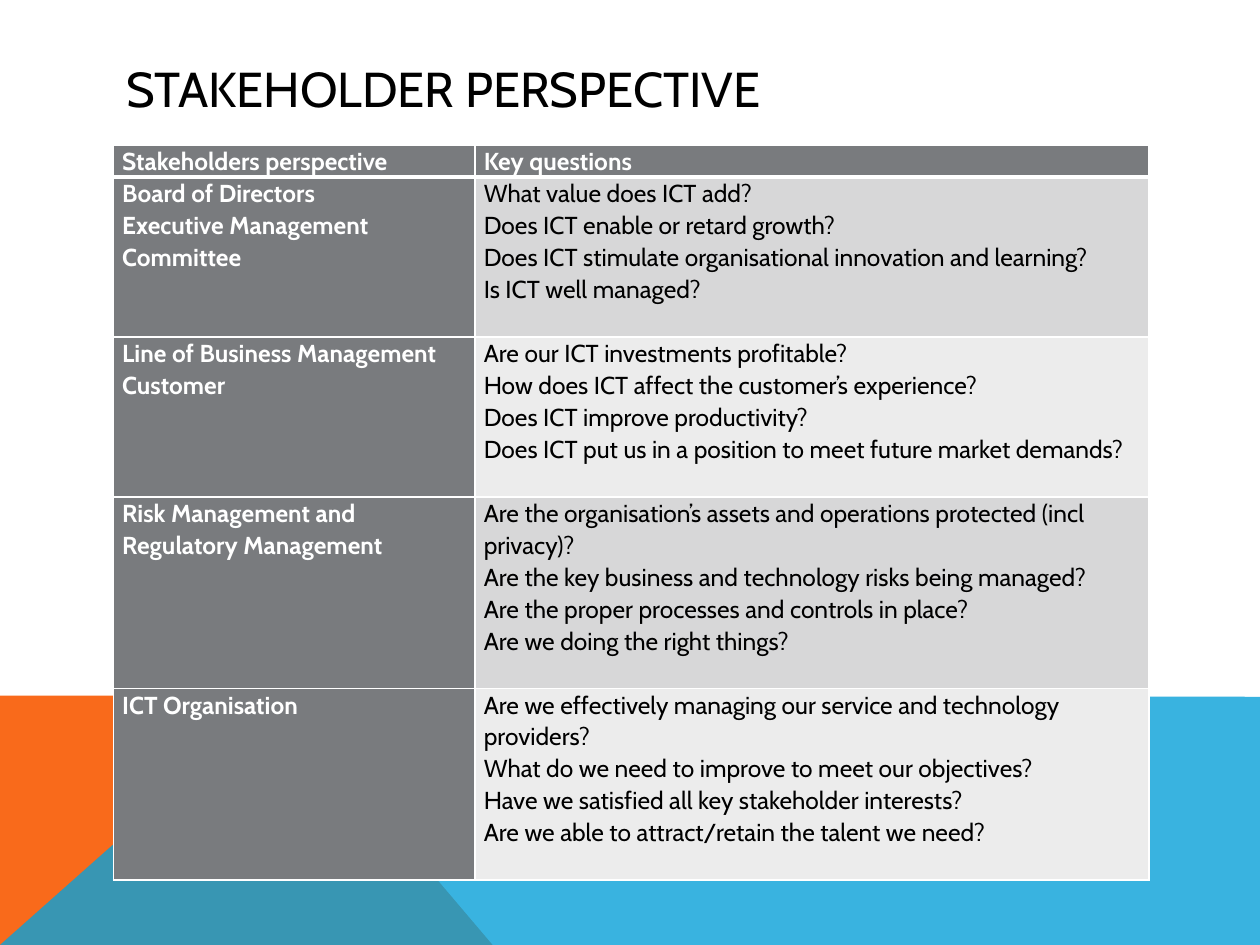
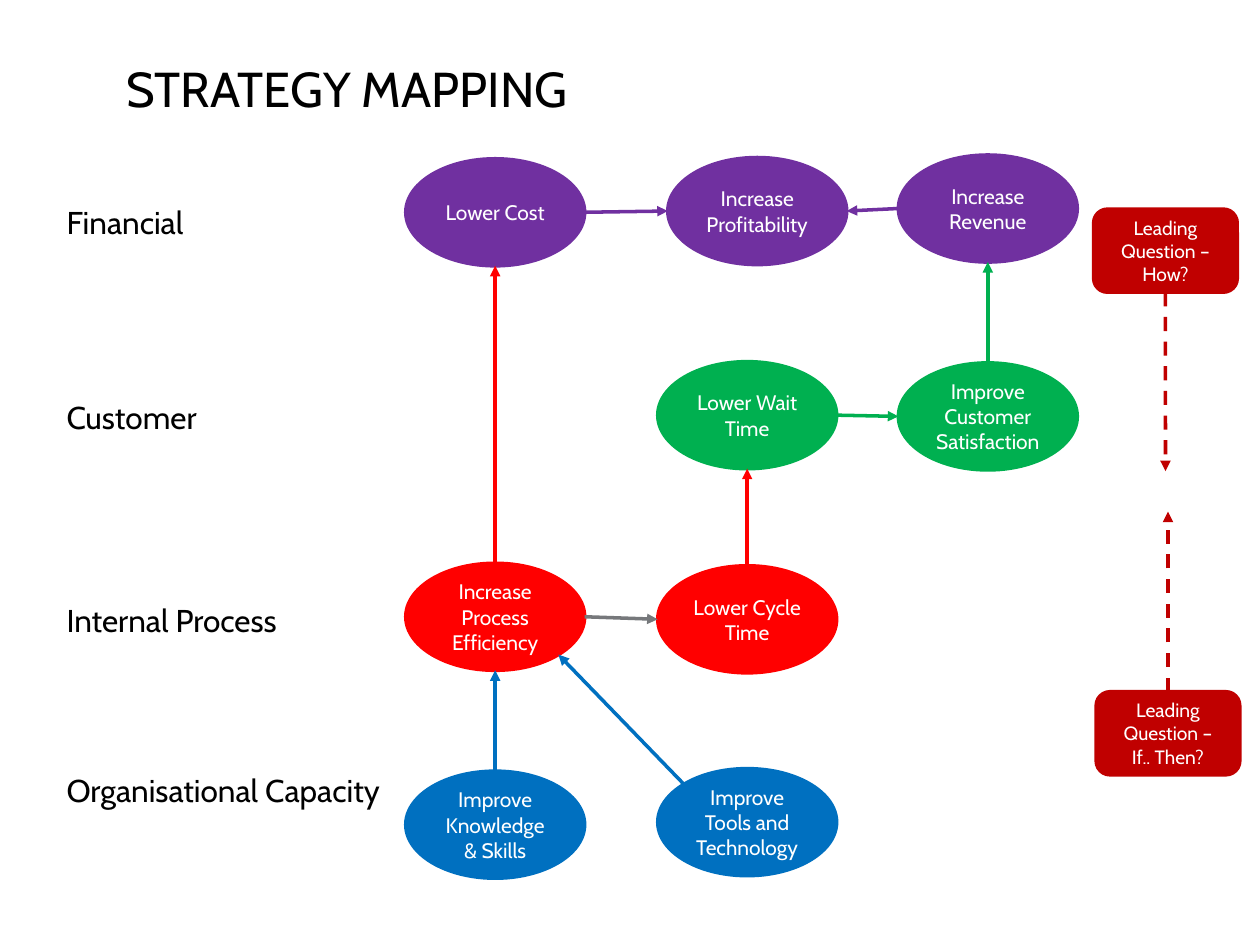
from math import sqrt

from lxml import etree
from pptx import Presentation
from pptx.dml.color import RGBColor
from pptx.enum.dml import MSO_LINE
from pptx.enum.shapes import MSO_CONNECTOR, MSO_SHAPE
from pptx.enum.text import MSO_ANCHOR, PP_ALIGN
from pptx.oxml.ns import qn
from pptx.util import Inches, Pt

OVAL, ROUND = MSO_SHAPE.OVAL, MSO_SHAPE.ROUNDED_RECTANGLE
LINE, DASH = MSO_CONNECTOR.STRAIGHT, MSO_LINE.DASH
LEFT, CENTER = PP_ALIGN.LEFT, PP_ALIGN.CENTER
TOP, MIDDLE = MSO_ANCHOR.TOP, MSO_ANCHOR.MIDDLE

FONT = "Cabin"
COLORS = {
    "white": "FFFFFF", "black": "000000",
    "orange": "F96A1B", "sky": "08A1D9",
    "head": "797B7E", "odd": "D7D7D8", "even": "ECECEC",
    "blue": "0070C0", "red": "FF0000", "green": "00B050",
    "purple": "7030A0", "gray": "76787B", "dark": "C00000",
}

# Points on an oval's edge, as shares of its half width and half height
DIAG = 1 / sqrt(2)
SIDES = {"top": (0, -1), "bottom": (0, 1), "left": (-1, 0), "right": (1, 0),
         "nw": (-DIAG, -DIAG), "se": (DIAG, DIAG)}
OVAL_W, OVAL_H = 1.42, 0.85


def color(name):
    return RGBColor.from_string(COLORS[name])


def write(frame, text, size=12, ink="white", bold=False, align=LEFT,
          anchor=MIDDLE, wrap=True, inset=None, spacing=None):
    """Fill a text frame; each line of the text is a paragraph."""
    frame.text = text
    frame.word_wrap = wrap
    frame.vertical_anchor = anchor
    if inset is not None:
        frame.margin_left = frame.margin_right = Inches(inset)
        frame.margin_top = frame.margin_bottom = Inches(inset)
    for para in frame.paragraphs:
        para.alignment = align
        if spacing:
            para.line_spacing = spacing
        for run in para.runs:
            font = run.font
            font.name, font.size, font.bold = FONT, Pt(size), bold
            font.color.rgb = color(ink)


def edge(cell, side, width):
    """Draw one white border of a table cell."""
    line = etree.SubElement(cell._tc.get_or_add_tcPr(), qn(f"a:ln{side}"),
                            w=str(Pt(width)))
    fill = etree.SubElement(line, qn("a:solidFill"))
    etree.SubElement(fill, qn("a:srgbClr"), val=COLORS["white"])


class Deck:
    def __init__(self):
        self.prs = Presentation()
        self.prs.slide_width, self.prs.slide_height = Inches(10), Inches(7.5)
        self.shapes = None

    def slide(self, title):
        slide = self.prs.slides.add_slide(self.prs.slide_layouts[5])
        slide.background.fill.solid()
        slide.background.fill.fore_color.rgb = color("white")
        self.shapes = slide.shapes
        head = self.shapes.title
        head.left, head.top = Inches(0.9), Inches(0.4)
        head.width, head.height = Inches(8.22), Inches(0.6)
        write(head.text_frame, title, size=28, ink="black")

    def paint(self, shape, fill, line=None):
        shape.shadow.inherit = False
        shape.fill.solid()
        shape.fill.fore_color.rgb = color(fill)
        if line:
            shape.line.color.rgb = color(line)
            shape.line.width = Pt(2)
        else:
            shape.line.fill.background()

    def band(self, points, fill, alpha=None):
        spots = [(Inches(x), Inches(y)) for x, y in points]
        pen = self.shapes.build_freeform(*spots[0])
        pen.add_line_segments(spots[1:], close=True)
        shape = pen.convert_to_shape()
        self.paint(shape, fill)
        if alpha:
            tone = next(shape.element.spPr.iter(qn("a:srgbClr")))
            etree.SubElement(tone, qn("a:alpha"), val=str(alpha * 1000))

    def shape(self, kind, text, fill, x, y, w, h, **style):
        shape = self.shapes.add_shape(kind, Inches(x), Inches(y),
                                      Inches(w), Inches(h))
        self.paint(shape, fill, fill)
        write(shape.text_frame, text, align=CENTER, **style)
        return shape

    def label(self, text, x, y, w, h):
        box = self.shapes.add_textbox(Inches(x), Inches(y),
                                      Inches(w), Inches(h))
        write(box.text_frame, text, size=18, ink="black", anchor=TOP,
              wrap=False)

    def arrow(self, start, end, ink, source=None, side=2, dash=None):
        link = self.shapes.add_connector(
            LINE, *(Inches(v) for v in (*start, *end)))
        if source is not None:
            link.begin_connect(source, side)
        link.line.color.rgb = color(ink)
        link.line.width = Pt(2)
        if dash:
            link.line.dash_style = dash
        etree.SubElement(link.line._get_or_add_ln(), qn("a:tailEnd"),
                         type="triangle")
        etree.SubElement(link.element.spPr, qn("a:effectLst"))

    def table(self, rows, x, y, widths, heights):
        table = self.shapes.add_table(
            len(rows), len(widths), Inches(x), Inches(y),
            Inches(sum(widths)), Inches(sum(heights))).table
        for col, width in zip(table.columns, widths):
            col.width = Inches(width)
        for r, (row, height) in enumerate(zip(rows, heights)):
            table.rows[r].height = Inches(height)
            for c, text in enumerate(row):
                self.cell(table.cell(r, c), text, r, c)

    def cell(self, cell, text, r, c):
        head = r == 0 or c == 0
        write(cell.text_frame, text, size=14, bold=head, spacing=1.07,
              ink="white" if head else "black")
        cell.vertical_anchor = TOP
        cell.margin_left = cell.margin_right = Inches(0.07)
        cell.margin_top = cell.margin_bottom = 0
        for side in "LRTB":
            thick = (r, side) in ((0, "B"), (1, "T"))
            edge(cell, side, 3 if thick else 1)
        cell.fill.solid()
        cell.fill.fore_color.rgb = color(
            "head" if head else "odd" if r % 2 else "even")


ROWS = [
    ("Stakeholders perspective", "Key questions"),
    ("Board of Directors\nExecutive Management Committee",
     "What value does ICT add?\n"
     "Does ICT enable or retard growth?\n"
     "Does ICT stimulate organisational innovation and learning?\n"
     "Is ICT well managed?"),
    ("Line of Business Management\nCustomer",
     "Are our ICT investments profitable?\n"
     "How does ICT affect the customer’s experience?\n"
     "Does ICT improve productivity?\n"
     "Does ICT put us in a position to meet future market demands?"),
    ("Risk Management and Regulatory Management",
     "Are the organisation’s assets and operations protected "
     "(incl privacy)?\n"
     "Are the key business and technology risks being managed?\n"
     "Are the proper processes and controls in place?\n"
     "Are we doing the right things?"),
    ("ICT Organisation",
     "Are we effectively managing our service and technology providers?\n"
     "What do we need to improve to meet our objectives?\n"
     "Have we satisfied all key stakeholder interests?\n"
     "Are we able to attract/retain the talent we need?"),
]

GOALS = {
    "skills": ("Improve Knowledge & Skills", "blue", 3.22, 6.12),
    "tools": ("Improve Tools and Technology", "blue", 5.22, 6.1),
    "process": ("Increase Process Efficiency", "red", 3.22, 4.47),
    "cycle": ("Lower Cycle Time", "red", 5.22, 4.49),
    "wait": ("Lower Wait Time", "green", 5.22, 2.87),
    "client": ("Improve Customer Satisfaction", "green", 7.13, 2.88),
    "income": ("Increase Revenue", "purple", 7.13, 1.23),
    "profit": ("Increase Profitability", "purple", 5.3, 1.25),
    "cost": ("Lower Cost", "purple", 3.22, 1.26),
}

LINKS = [
    ("skills", "top", "process", "bottom", "blue"),
    ("tools", "nw", "process", "se", "blue"),
    ("cycle", "top", "wait", "bottom", "red"),
    ("process", "top", "cost", "bottom", "red"),
    ("cost", "right", "profit", "left", "purple"),
    ("income", "left", "profit", "right", "purple"),
    ("wait", "right", "client", "left", "green"),
    ("client", "top", "income", "bottom", "green"),
    ("process", "right", "cycle", "left", "gray"),
]

LAYERS = [("Financial", 1.56, 1.23), ("Customer", 3.11, 1.3),
          ("Internal Process", 4.72, 2.03),
          ("Organisational Capacity", 6.07, 2.87)]

# Text, left, top, side the arrow leaves from, height the arrow ends at
LEADS = [("Leading Question – How?", 8.68, 1.66, 2, 3.74),
         ("Leading Question – If.. Then?", 8.7, 5.49, 0, 4.06)]


def rim(name, side):
    """Place on the edge of a goal's oval."""
    x, y = GOALS[name][2:]
    dx, dy = SIDES[side]
    return x + OVAL_W / 2 * (1 + dx), y + OVAL_H / 2 * (1 + dy)


def views(deck):
    deck.slide("STAKEHOLDER PERSPECTIVE")
    # Corner bands
    deck.band([(0, 7.5), (0, 5.52), (2.23, 5.52), (3.91, 7.5)], "orange")
    deck.band([(0, 7.5), (2.23, 5.52), (10, 5.53), (10, 7.5)], "sky", alpha=80)
    # Questions by stakeholder
    deck.table(ROWS, 0.9, 1.15, [2.87, 5.35], [0.25, 1.27, 1.27, 1.52, 1.52])


def plan(deck):
    deck.slide("STRATEGY MAPPING")
    # Goals and the links between them
    for text, fill, x, y in GOALS.values():
        deck.shape(OVAL, text, fill, x, y, OVAL_W, OVAL_H, inset=0.04)
    for start, out, end, into, ink in LINKS:
        deck.arrow(rim(start, out), rim(end, into), ink)
    # Names of the layers
    for text, y, w in LAYERS:
        deck.label(text, 0.43, y, w, 0.43)
    # Leading questions
    for text, x, y, side, stop in LEADS:
        box = deck.shape(ROUND, text, "dark", x, y, 1.14, 0.66, size=11)
        mid = x + 1.14 / 2
        deck.arrow((mid, y), (mid, stop), "dark", source=box, side=side,
                   dash=DASH)


def main():
    deck = Deck()
    views(deck)
    plan(deck)
    deck.prs.save("out.pptx")


if __name__ == "__main__":
    main()
